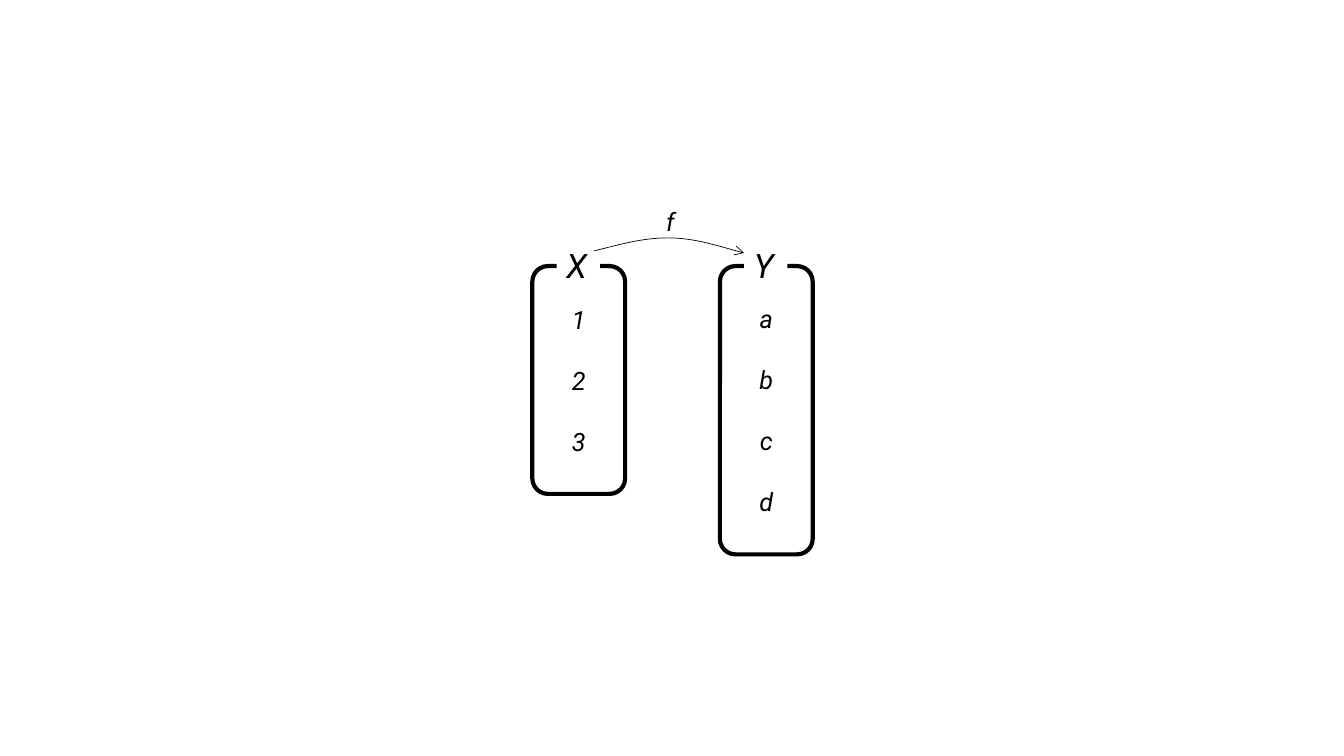
from dataclasses import dataclass

from lxml.etree import SubElement
from pptx import Presentation
from pptx.dml.color import RGBColor
from pptx.enum.shapes import MSO_SHAPE as Shape
from pptx.enum.text import MSO_ANCHOR as Anchor, PP_ALIGN as Align
from pptx.oxml.ns import qn
from pptx.util import Pt

PX = 9144  # EMU per px, 100 px to the inch
BLACK = RGBColor(0, 0, 0)
WHITE = RGBColor(255, 255, 255)
FONT = "Roboto"

SET_TOP, SET_WIDTH = 264, 92
LABEL_TOP, LABEL_INDENT, LABEL_WIDTH, LABEL_HEIGHT = 238, 24, 43, 50
ARROW_START = (589, 249)
ARROW_CURVES = [
    [(613, 243), (637, 236), (662, 236)],
    [(687, 236), (712, 244), (738, 251)],
]


@dataclass(frozen=True)
class MathSet:
    name: str
    members: tuple[str, ...]
    left: int
    height: int


SETS = (
    MathSet("X", ("1", "2", "3"), 528, 226),
    MathSet("Y", ("a", "b", "c", "d"), 714, 286),
)


def write(box, *lines: str, size: int = 18, align=Align.LEFT,
          anchor=Anchor.TOP, gap: int = 0) -> None:
    """Put each line in its own paragraph, gap points apart."""
    frame = box.text_frame
    frame.word_wrap = True
    frame.vertical_anchor = anchor
    for index, line in enumerate(lines):
        para = frame.add_paragraph() if index else frame.paragraphs[0]
        para.alignment = align
        para.space_before = Pt(gap if index else 0)
        span = para.add_run()
        span.text = line
        span.font.name = FONT
        span.font.size = Pt(size)
        span.font.italic = True
        span.font.color.rgb = BLACK


def outline(shape, width: float) -> None:
    shape.shadow.inherit = False
    shape.fill.background()
    shape.line.color.rgb = BLACK
    shape.line.width = Pt(width)


def draw_set(page, item: MathSet) -> None:
    box = page.shapes.add_shape(Shape.ROUNDED_RECTANGLE, item.left * PX, SET_TOP * PX,
                                SET_WIDTH * PX, item.height * PX)
    outline(box, 3)
    write(box, *item.members, align=Align.CENTER, anchor=Anchor.MIDDLE, gap=22)

    label = page.shapes.add_shape(Shape.RECTANGLE, (item.left + LABEL_INDENT) * PX,
                                  LABEL_TOP * PX, LABEL_WIDTH * PX, LABEL_HEIGHT * PX)
    label.shadow.inherit = False
    label.fill.solid()
    label.fill.fore_color.rgb = WHITE
    label.line.fill.background()
    write(label, item.name, size=24)


def bend(shape) -> None:
    """Turn every three line segments of a freeform into one cubic curve."""
    segments = list(shape._element.iter(qn("a:lnTo")))
    for first in range(0, len(segments), 3):
        curve = segments[first]
        curve.tag = qn("a:cubicBezTo")
        for segment in segments[first + 1:first + 3]:
            curve.append(segment[0])
            segment.getparent().remove(segment)


def draw_mapping(page) -> None:
    group = page.shapes.add_group_shape()
    builder = group.shapes.build_freeform(*ARROW_START, scale=PX)
    builder.add_line_segments([point for curve in ARROW_CURVES for point in curve],
                              close=False)
    arrow = builder.convert_to_shape()
    bend(arrow)
    outline(arrow, 0.5)
    SubElement(arrow.line._get_or_add_ln(), qn("a:tailEnd"), type="arrow")

    name = group.shapes.add_textbox(651 * PX, 200 * PX, 37 * PX, 40 * PX)
    write(name, "f")


def main() -> None:
    deck = Presentation()
    deck.slide_width, deck.slide_height = 1333 * PX, 750 * PX
    page = deck.slides.add_slide(deck.slide_layouts[6])
    for item in SETS:
        draw_set(page, item)
    draw_mapping(page)
    deck.save("out.pptx")


if __name__ == "__main__":
    main()
